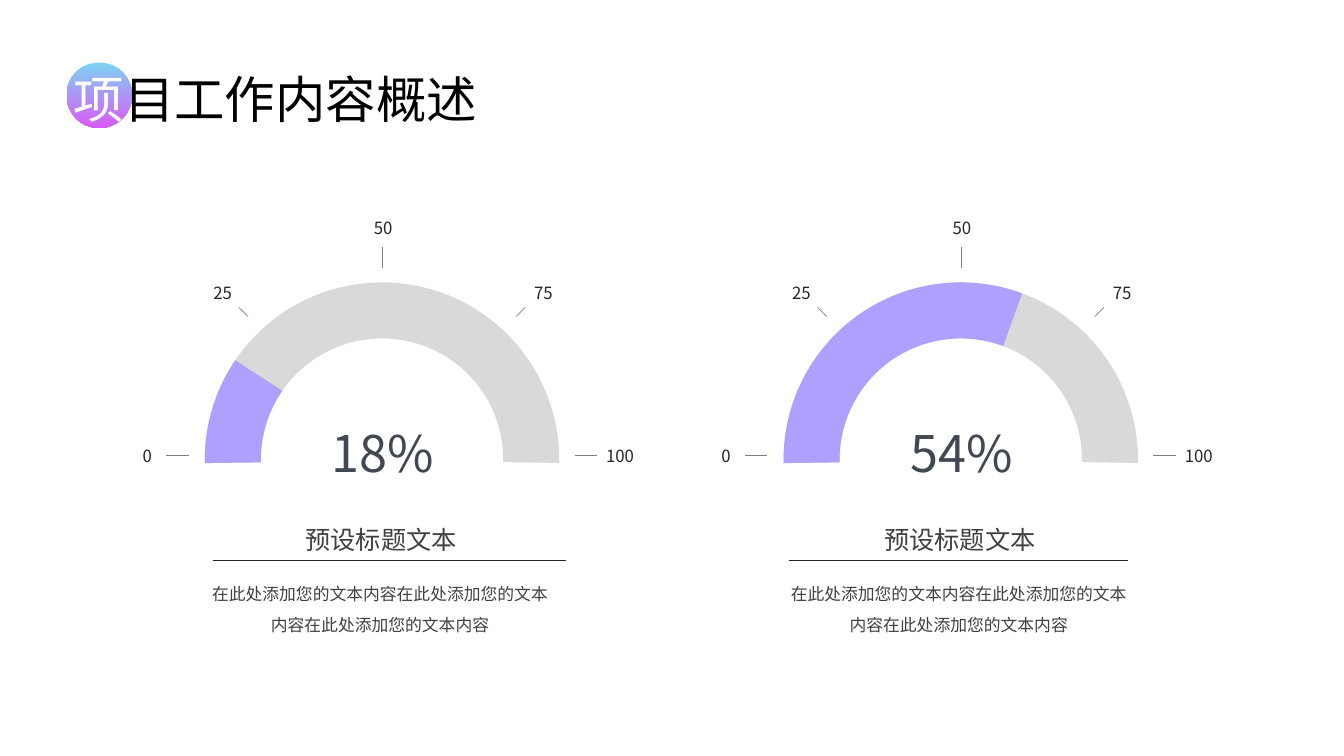
from dataclasses import dataclass

from lxml import etree
from pptx import Presentation
from pptx.dml.color import RGBColor as Rgb
from pptx.enum.shapes import MSO_CONNECTOR as Connector, MSO_SHAPE as Preset
from pptx.enum.text import MSO_ANCHOR as Anchor, PP_ALIGN as Align
from pptx.oxml.ns import qn
from pptx.util import Inches, Pt


@dataclass(frozen=True)
class Theme:
    font: str = "Noto Sans CJK SC"
    white: str = "FFFFFF"
    black: str = "000000"
    label: str = "262626"
    body: str = "404040"
    value: str = "424851"
    tick: str = "808080"
    track: str = "D9D9D9"
    accent: str = "ADA0FF"
    badge: tuple = ("7DD3F4", "DA59F5")
    glow: tuple = ("FBE779", "ADA0FF")
    title_size: int = 36
    heading_size: int = 18
    text_size: int = 12
    hairline: float = 0.5
    ring: int = 40


@dataclass(frozen=True)
class Gauge:
    left: float
    value: str
    end_angle: float
    rule_left: float
    rule_width: float


THEME = Theme()
START_ANGLE, FULL_ANGLE = 178.79, 1.14
HEADING = "预设标题文本"
DESCRIPTION = "在此处添加您的文本内容" * 3
GAUGES = [
    Gauge(1.21, "18%", 214.29, 2.11, 3.5),
    Gauge(6.95, "54%", 290.34, 7.83, 3.36),
]
TICKS = [
    (0.44, 4.52, 0.66, 4.52),
    (1.16, 3.05, 1.25, 3.14),
    (2.58, 2.66, 2.58, 2.45),
    (4.0, 3.05, 3.91, 3.14),
    (4.49, 4.52, 4.71, 4.52),
]
LABELS = [
    ("0", 0, 4.37),
    ("25", 0.75, 2.75),
    ("50", 2.34, 2.1),
    ("75", 3.93, 2.75),
    ("100", 4.69, 4.37),
]


def style_run(run, size, color):
    run.font.size = Pt(size)
    run.font.color.rgb = Rgb.from_string(color)
    run.font.name = THEME.font
    east_asian = etree.SubElement(run.font._element, qn("a:ea"))
    east_asian.set("typeface", THEME.font)


def add_text(slide, text, box, size, color, inset=True, spacing=1.0):
    frame = slide.shapes.add_textbox(*map(Inches, box)).text_frame
    frame.word_wrap = True
    frame.vertical_anchor = Anchor.MIDDLE
    if not inset:
        frame.margin_left = frame.margin_right = 0
        frame.margin_top = frame.margin_bottom = 0
    frame.text = text
    paragraph = frame.paragraphs[0]
    paragraph.alignment = Align.CENTER
    paragraph.line_spacing = spacing
    style_run(paragraph.runs[0], size, color)


def add_line(slide, ends, color):
    line = slide.shapes.add_connector(Connector.STRAIGHT, *map(Inches, ends))
    line.line.color.rgb = Rgb.from_string(color)
    line.line.width = Pt(THEME.hairline)
    etree.SubElement(line._element.spPr, qn("a:effectLst"))


def add_arc(slide, left, end_angle, color):
    arc = slide.shapes.add_shape(
        Preset.ARC, Inches(left), Inches(3.08), Inches(2.96), Inches(2.96))
    arc.shadow.inherit = False
    arc.fill.background()
    arc.adjustments[0] = START_ANGLE * 0.6
    arc.adjustments[1] = end_angle * 0.6
    arc.line.color.rgb = Rgb.from_string(color)
    arc.line.width = Pt(THEME.ring)


def add_disc(slide, left, top, size, colors, angle):
    disc = slide.shapes.add_shape(
        Preset.OVAL, Inches(left), Inches(top), Inches(size), Inches(size))
    disc.shadow.inherit = False
    disc.line.fill.background()
    disc.fill.gradient()
    disc.fill.gradient_angle = angle
    for stop, color, position in zip(disc.fill.gradient_stops, colors, (0, 1)):
        stop.color.rgb = Rgb.from_string(color)
        stop.position = position
    slide.shapes.title._element.addprevious(disc._element)
    return disc


def soften(disc, radius, opacity):
    for color in disc._element.spPr.iter(qn("a:srgbClr")):
        etree.SubElement(color, qn("a:alpha")).set("val", str(opacity * 1000))
    effects = disc._element.spPr.find(qn("a:effectLst"))
    etree.SubElement(effects, qn("a:softEdge")).set("rad", str(Inches(radius)))


def add_title(slide):
    title = slide.shapes.title
    title.left, title.top = Inches(0.63), Inches(0.62)
    title.width, title.height = Inches(4.36), Inches(0.71)
    frame = title.text_frame
    frame.vertical_anchor = Anchor.MIDDLE
    paragraph = frame.paragraphs[0]
    paragraph.alignment = Align.LEFT
    for text, color in (("项", THEME.white), ("目工作内容概述", THEME.black)):
        run = paragraph.add_run()
        run.text = text
        style_run(run, THEME.title_size, color)
    add_disc(slide, 0.66, 0.62, 0.65, THEME.badge, 270)
    soften(add_disc(slide, 4.3, 0.59, 0.56, THEME.glow, 0), 0.15, 10)


def add_gauge(slide, gauge):
    left = gauge.left
    for x1, y1, x2, y2 in TICKS:
        add_line(slide, (left + x1, y1, left + x2, y2), THEME.tick)
    for text, x, y in LABELS:
        add_text(slide, text, (left + x, y, 0.5, 0.31),
                 THEME.text_size, THEME.label)
    add_arc(slide, left + 1.1, FULL_ANGLE, THEME.track)
    add_arc(slide, left + 1.1, gauge.end_angle, THEME.accent)
    add_text(slide, gauge.value, (left + 2.05, 4.15, 1.07, 0.62),
             THEME.title_size, THEME.value, inset=False, spacing=1.1)
    add_text(slide, HEADING, (left + 0.77, 5.15, 3.6, 0.4),
             THEME.heading_size, THEME.body)
    rule_right = gauge.rule_left + gauge.rule_width
    add_line(slide, (gauge.rule_left, 5.56, rule_right, 5.56), THEME.label)
    add_text(slide, DESCRIPTION, (left + 0.76, 5.66, 3.6, 0.67),
             THEME.text_size, THEME.body, spacing=1.5)


def main():
    deck = Presentation()
    deck.slide_width, deck.slide_height = Inches(13.33), Inches(7.5)
    slide = deck.slides.add_slide(deck.slide_layouts[5])
    add_title(slide)
    for gauge in GAUGES:
        add_gauge(slide, gauge)
    deck.save("out.pptx")


main()
